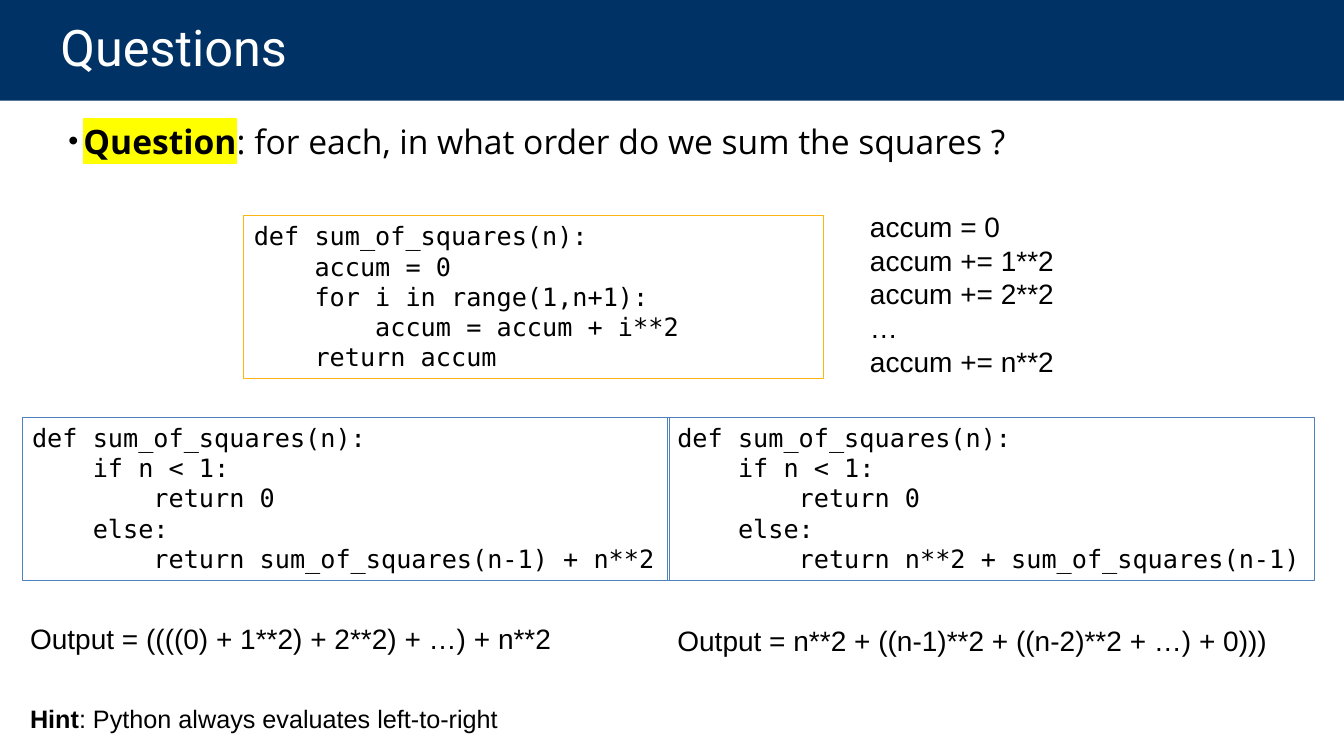
from collections import namedtuple

from lxml.etree import SubElement
from pptx import Presentation
from pptx.dml.color import RGBColor
from pptx.enum.shapes import MSO_SHAPE as Shape
from pptx.enum.text import MSO_ANCHOR as Anchor, PP_ALIGN as Align
from pptx.oxml.ns import qn
from pptx.util import Inches, Pt

WIDTH, HEIGHT = Inches(13.33), Inches(7.5)
COLUMN, ROW = WIDTH / 100, HEIGHT / 100
COLORS = {"navy": "003265", "white": "FFFFFF", "black": "000000",
          "gold": "FCB515", "blue": "4F81BD", "marker": "FFFF00"}
TITLE = {"name": "Roboto", "size": Pt(36)}
BODY = {"name": "Open Sans", "size": Pt(24)}
CODE = {"name": "DejaVu Sans Mono", "size": Pt(18)}
NOTE = {"name": "Arial", "size": Pt(20)}
HINT = {"name": "Arial", "size": Pt(18)}
INSETS = {"margin_left": Inches(0.1), "margin_right": Inches(0.1),
          "margin_top": Inches(0.05), "margin_bottom": Inches(0.05)}

LOOP = """def sum_of_squares(n):
    accum = 0
    for i in range(1,n+1):
        accum = accum + i**2
    return accum"""
TRACE = """accum = 0
accum += 1**2
accum += 2**2
…
accum += n**2"""
RECURSION = """def sum_of_squares(n):
    if n < 1:
        return 0
    else:
        return """

Box = namedtuple("Box", "left top width height")


def set_values(target, values):
    """Set every named attribute of the target."""
    for name, value in values.items():
        setattr(target, name, value)


def color(name):
    """Return a palette colour."""
    return RGBColor.from_string(COLORS[name])


def place(box):
    """Turn grid columns and rows into slide lengths."""
    return [round(length * unit) for length, unit in
            zip(box, (COLUMN, ROW, COLUMN, ROW))]


def add_run(paragraph, text, font, ink="black", **extra):
    """Append one formatted run."""
    run = paragraph.add_run()
    run.text = text
    set_values(run.font, {**font, **extra})
    run.font.color.rgb = color(ink)
    return run


def write_lines(frame, text, font, ink="black", **layout):
    """Write each line of the text as a left-aligned paragraph."""
    for index, line in enumerate(text.split("\n")):
        paragraph = frame.add_paragraph() if index else frame.paragraphs[0]
        set_values(paragraph, {"alignment": Align.LEFT, **layout})
        add_run(paragraph, line, font, ink)


def add_text_frame(slide, box):
    """Add a wrapping text box and return its frame."""
    frame = slide.shapes.add_textbox(*place(box)).text_frame
    set_values(frame, {"word_wrap": True, **INSETS})
    return frame


def add_rectangle(slide, box):
    """Add a rectangle without shadow."""
    shape = slide.shapes.add_shape(Shape.RECTANGLE, *place(box))
    shape.shadow.inherit = False
    set_values(shape.text_frame, {"word_wrap": True, **INSETS})
    return shape


def add_title(slide, box, text):
    """Draw the title band."""
    shape = add_rectangle(slide, box)
    shape.fill.solid()
    shape.fill.fore_color.rgb = color("navy")
    shape.line.fill.background()
    set_values(shape.text_frame, {"vertical_anchor": Anchor.MIDDLE,
                                  "margin_left": Inches(0.6),
                                  "margin_right": Inches(1)})
    write_lines(shape.text_frame, text, TITLE, "white", line_spacing=0.9)


def add_question(slide, box, label, text):
    """Write the bulleted question with a highlighted label."""
    paragraph = add_text_frame(slide, box).paragraphs[0]
    properties = paragraph._p.get_or_add_pPr()
    properties.set("marL", str(Inches(0.15)))
    properties.set("indent", str(-Inches(0.15)))
    SubElement(properties, qn("a:buSzPct"), val="85000")
    SubElement(properties, qn("a:buFont"), typeface="Arial")
    SubElement(properties, qn("a:buChar"), char="•")
    run = add_run(paragraph, label, BODY, bold=True)
    highlight = SubElement(run._r.rPr, qn("a:highlight"))
    SubElement(highlight, qn("a:srgbClr"), val=COLORS["marker"])
    run._r.rPr.find(qn("a:solidFill")).addnext(highlight)
    add_run(paragraph, text, BODY, bold=False)


def add_code(slide, box, text, outline):
    """Draw a framed code listing."""
    shape = add_rectangle(slide, box)
    shape.fill.background()
    shape.line.color.rgb = color(outline)
    shape.line.width = Pt(0.75)
    shape.text_frame.vertical_anchor = Anchor.TOP
    write_lines(shape.text_frame, text, CODE, line_spacing=Pt(21.6))


def add_loop(slide, box):
    """Place the loop listing with its trace on the right."""
    add_code(slide, box, LOOP, "gold")
    trace = Box(box.left + box.width + 2.7, box.top - 1.46, 34.58, 23.73)
    write_lines(add_text_frame(slide, trace), TRACE, NOTE)


def add_recursion(slide, box, result, output, shift):
    """Place a recursive listing with its output below."""
    add_code(slide, box, RECURSION + result, "blue")
    below = Box(box.left + shift[0], box.top + 26.4 + shift[1], 46.75, 5.87)
    write_lines(add_text_frame(slide, below), output, NOTE)


def add_hint(slide, box, label, text):
    """Write the hint with a bold label."""
    paragraph = add_text_frame(slide, box).paragraphs[0]
    add_run(paragraph, label, HINT, bold=True)
    add_run(paragraph, text, HINT, bold=False)


def main():
    """Build and save the presentation."""
    presentation = Presentation()
    set_values(presentation, {"slide_width": WIDTH, "slide_height": HEIGHT})
    slide = presentation.slides.add_slide(presentation.slide_layouts[6])
    add_title(slide, Box(0, 0, 100, 13.33), "Questions")
    add_question(slide, Box(4.35, 15.3, 92.05, 76.7), "Question",
                 ": for each, in what order do we sum the squares ?")
    add_loop(slide, Box(18.15, 28.53, 43.14, 21.6))
    cases = [("sum_of_squares(n-1) + n**2",
              "Output = ((((0) + 1**2) + 2**2) + …) + n**2", (-0.15, 0)),
             ("n**2 + sum_of_squares(n-1)",
              "Output = n**2 + ((n-1)**2 + ((n-2)**2 + …) + 0)))", (0, 0.27))]
    for index, case in enumerate(cases):
        add_recursion(slide, Box(1.65 + 48.01 * index, 55.2, 48.16, 21.6), *case)
    add_hint(slide, Box(1.5, 92.4, 36.53, 5.33), "Hint",
             ": Python always evaluates left-to-right")
    presentation.save("out.pptx")


if __name__ == "__main__":
    main()
